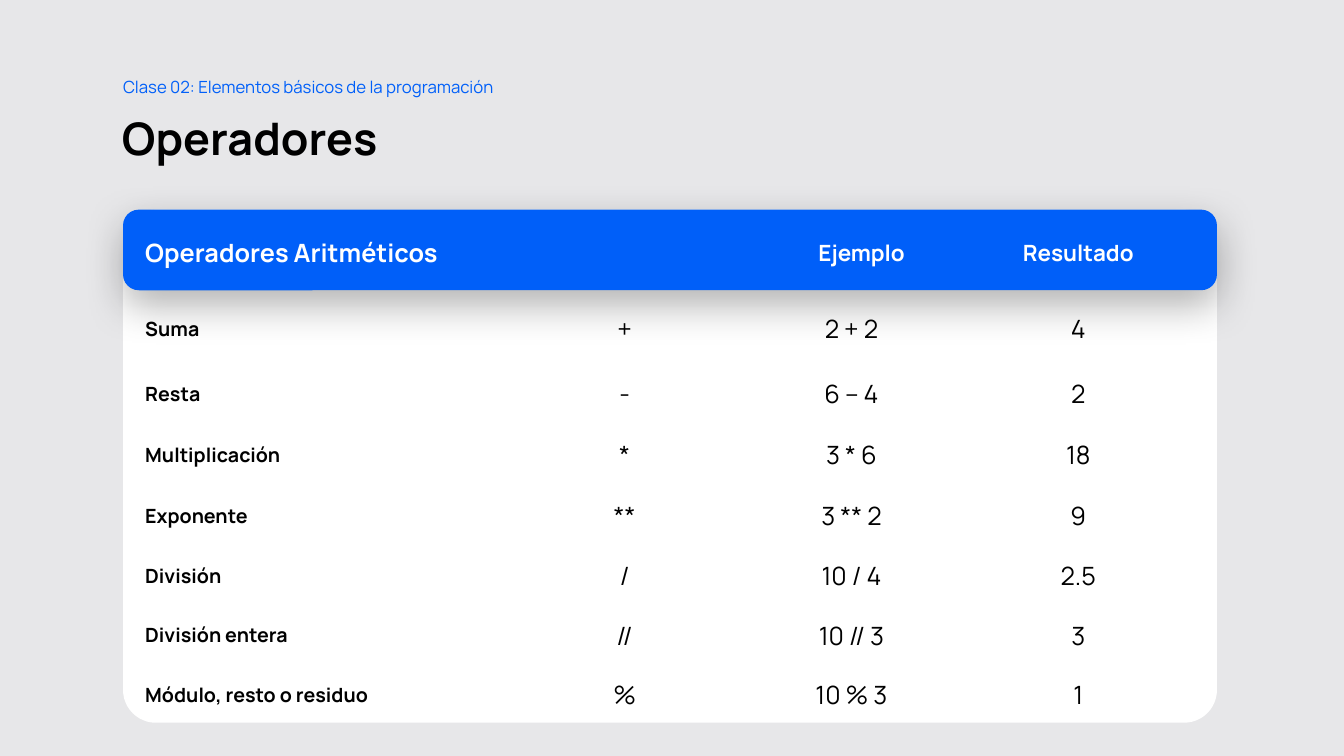
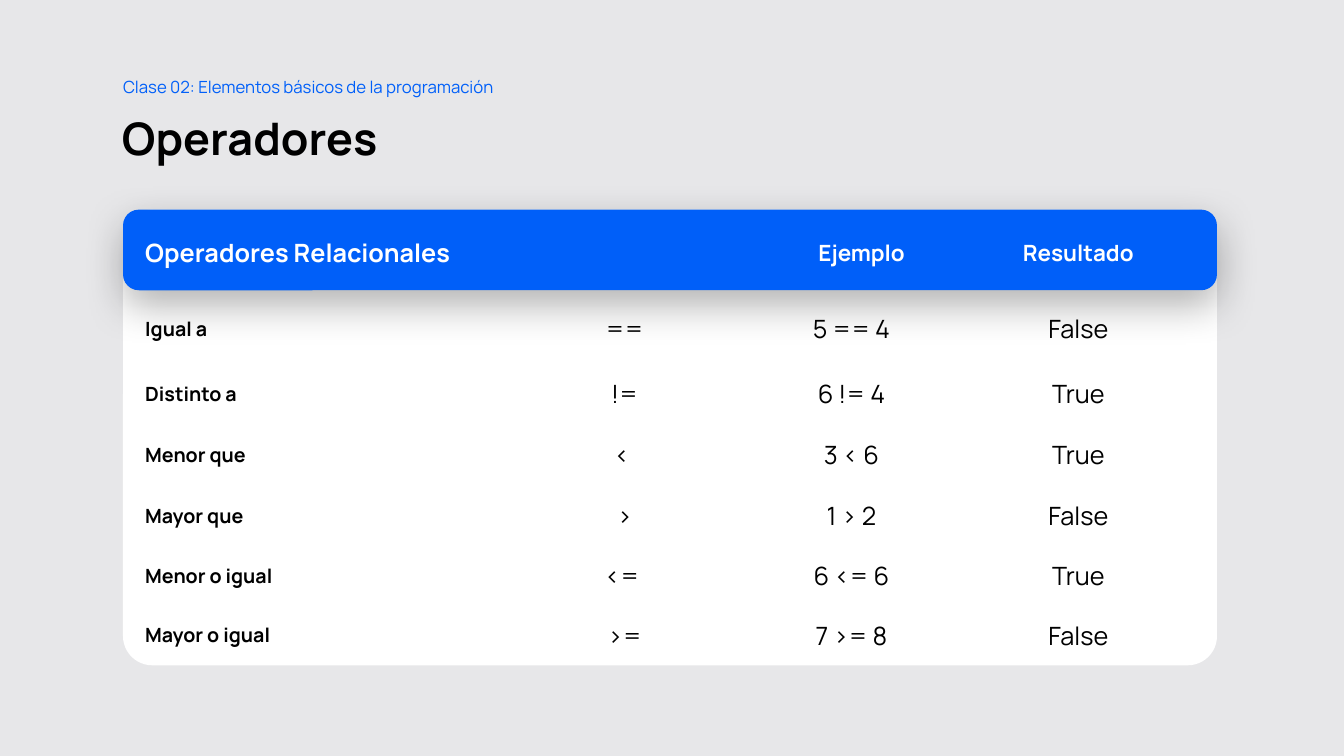
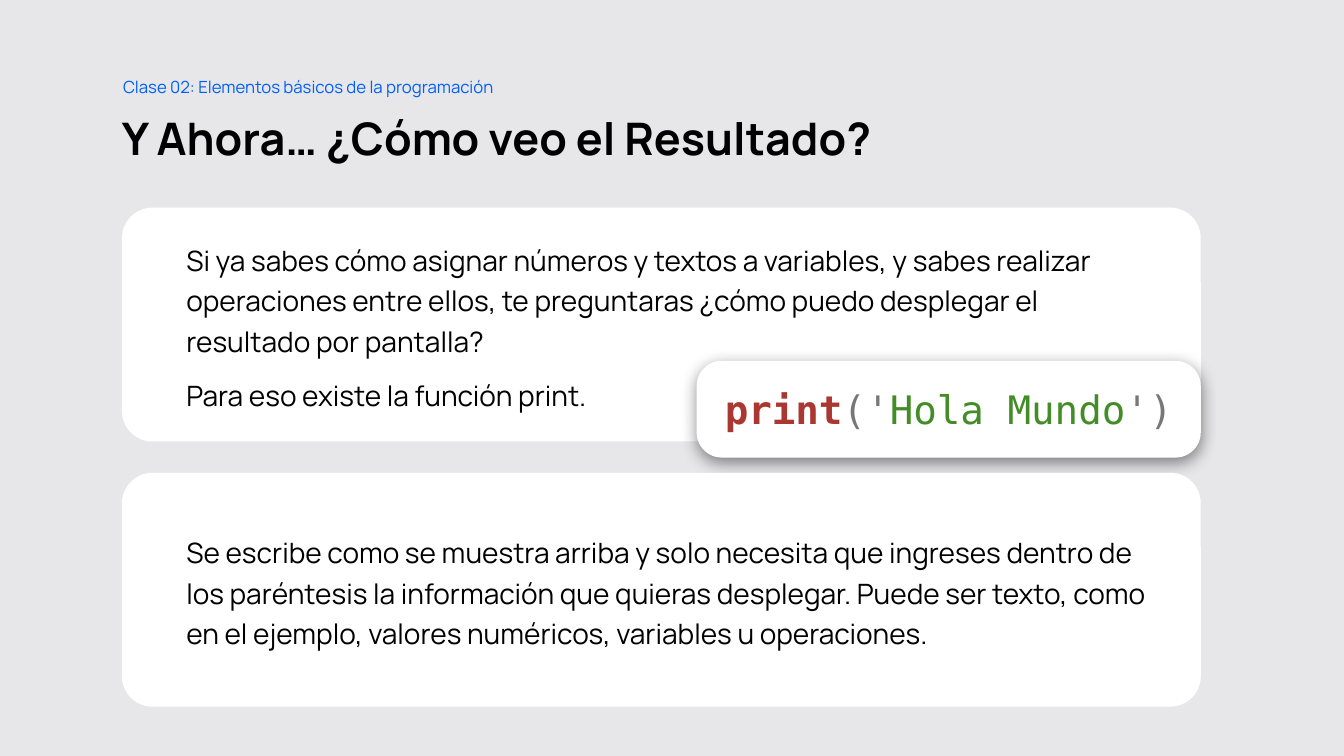
from dataclasses import dataclass

from lxml import etree
from pptx import Presentation
from pptx.dml.color import RGBColor
from pptx.enum.shapes import MSO_SHAPE
from pptx.enum.text import MSO_ANCHOR, PP_ALIGN
from pptx.oxml.ns import qn
from pptx.util import Inches, Pt

ROUND_RECT = MSO_SHAPE.ROUNDED_RECTANGLE
TOP, MIDDLE = MSO_ANCHOR.TOP, MSO_ANCHOR.MIDDLE
LEFT, CENTER = PP_ALIGN.LEFT, PP_ALIGN.CENTER
NO_GRID_STYLE = "{2D5ABB26-0587-4C30-8999-92F81FD0307C}"


@dataclass(frozen=True)
class Theme:
    """Colours, fonts and type sizes shared by the slides."""
    back: str = "E7E7E9"
    card: str = "FFFFFF"
    accent: str = "005FF9"
    ink: str = "000000"
    on_accent: str = "FFFFFF"
    code_name: str = "AA3731"
    code_mark: str = "777777"
    code_text: str = "448C27"
    font: str = "Manrope"
    mono: str = "DejaVu Sans Mono"
    title: int = 32
    code: int = 28
    body: int = 20
    value: int = 18
    column: int = 16
    label: int = 14
    kicker: int = 12


T = Theme()
KICKER = "Clase 02: Elementos básicos de la programación"
COLUMN_WIDTHS = (3.7, 2.31, 2.19, 2.21)
ROW_HEIGHTS = (0.85, 0.67, 0.62, 0.59, 0.61, 0.59, 0.59, 0.59)
HEADER_INSETS = (0, 0, 0, 0.1)
BODY_INSETS = (0, 0.2, 0.2, 0.1)

ARITHMETIC = (
    ("Suma", "+", "2 + 2", "4"),
    ("Resta", "-", "6 – 4", "2"),
    ("Multiplicación", "*", "3 * 6", "18"),
    ("Exponente", "**", "3 ** 2", "9"),
    ("División", "/", "10 / 4", "2.5"),
    ("División entera", "//", "10 // 3", "3"),
    ("Módulo, resto o residuo", "%", "10 % 3", "1"),
)
RELATIONAL = (
    ("Igual a", "==", "5 == 4", "False"),
    ("Distinto a", "!=", "6 != 4", "True"),
    ("Menor que", "< ", "3 < 6", "True"),
    ("Mayor que", ">", "1 > 2", "False"),
    ("Menor o igual", "<= ", "6 <= 6", "True"),
    ("Mayor o igual", ">=", "7 >= 8", "False"),
)
QUESTION = (
    "Si ya sabes cómo asignar números y textos a variables, y sabes realizar "
    "operaciones entre ellos, te preguntaras ¿cómo puedo desplegar el "
    "resultado por pantalla?",
    "Para eso existe la función print.",
)
ANSWER = (
    "Se escribe como se muestra arriba y solo necesita que ingreses dentro de "
    "los paréntesis la información que quieras desplegar. Puede ser texto, "
    "como en el ejemplo, valores numéricos, variables u operaciones.",
)
CODE = (
    ("print", T.code_name, True),
    ("('", T.code_mark, False),
    ("Hola Mundo", T.code_text, False),
    ("')", T.code_mark, False),
)


def add_run(p, text, size, color=T.ink, bold=False, font=T.font):
    """Append a formatted run to a paragraph."""
    r = p.add_run()
    r.text = text
    for name, value in {"name": font, "size": Pt(size), "bold": bold}.items():
        setattr(r.font, name, value)
    r.font.color.rgb = RGBColor.from_string(color)


def set_frame(target, insets, anchor=MIDDLE):
    """Set margins (left, top, right, bottom) and anchor of a frame or cell."""
    for side, inset in zip(("left", "top", "right", "bottom"), insets):
        setattr(target, f"margin_{side}", Inches(inset))
    target.vertical_anchor = anchor


def add_text(s, box, text, insets, anchor, spacing, **style):
    """Add a one-paragraph text box."""
    tf = s.shapes.add_textbox(*map(Inches, box)).text_frame
    tf.word_wrap = True
    set_frame(tf, insets, anchor)
    p = tf.paragraphs[0]
    p.line_spacing = spacing
    add_run(p, text, **style)


def add_shadow(sp, opacity, blur, distance):
    """Give a shape a soft black shadow that falls downwards."""
    effects = sp._element.spPr.find(qn("a:effectLst"))
    shadow = etree.SubElement(
        effects, qn("a:outerShdw"), blurRad=str(Pt(blur)), dist=str(Pt(distance)),
        dir="5400000", algn="t", rotWithShape="0")
    color = etree.SubElement(shadow, qn("a:srgbClr"), val=T.ink)
    etree.SubElement(color, qn("a:alpha"), val=str(opacity * 1000))


def add_panel(s, box, radius, color=T.card):
    """Add a rounded panel without outline or shadow."""
    sp = s.shapes.add_shape(ROUND_RECT, *map(Inches, box))
    sp.adjustments[0] = radius
    sp.fill.solid()
    sp.fill.fore_color.rgb = RGBColor.from_string(color)
    sp.line.fill.background()
    sp.shadow.inherit = False
    return sp


def add_base(prs, title):
    """Add a slide with the shared background, kicker and title."""
    s = prs.slides.add_slide(prs.slide_layouts[6])
    s.background.fill.solid()
    s.background.fill.fore_color.rgb = RGBColor.from_string(T.back)
    add_text(s, (1.21, 1, 10.85, 0.75), title, (0, 0.1, 0.1, 0.05), MIDDLE, 0.9,
             size=T.title, bold=True)
    add_text(s, (1.22, 0.67, 4.21, 0.34), KICKER, (0, 0.05, 0.1, 0.05), TOP, 1.2,
             size=T.kicker, color=T.accent)
    return s


def fill_cell(cell, text, align, inset, **style):
    """Write one transparent table cell."""
    cell.fill.background()
    set_frame(cell, (0, 0, inset, 0))
    p = cell.text_frame.paragraphs[0]
    p.alignment = align
    if text:
        add_run(p, text, **style)


def add_operator_table(s, left, top, heading, operators):
    """Add the table of operators, with a heading row."""
    rows = ((heading, "", "Ejemplo", "Resultado"), *operators)
    heights = ROW_HEIGHTS[:len(rows)]
    table = s.shapes.add_table(
        len(rows), len(COLUMN_WIDTHS), Inches(left), Inches(top),
        Inches(sum(COLUMN_WIDTHS)), Inches(sum(heights))).table
    table._tbl.tblPr.find(qn("a:tableStyleId")).text = NO_GRID_STYLE
    table.first_row = table.horz_banding = False
    for column, width in zip(table.columns, COLUMN_WIDTHS):
        column.width = Inches(width)
    for i, (texts, height) in enumerate(zip(rows, heights)):
        table.rows[i].height = Inches(height)
        header = i == 0
        insets = HEADER_INSETS if header else BODY_INSETS
        first, other = (T.value, T.column) if header else (T.label, T.value)
        for j, text in enumerate(texts):
            fill_cell(table.cell(i, j), text, CENTER if j else LEFT, insets[j],
                      size=other if j else first, bold=header or j == 0,
                      color=T.on_accent if header else T.ink)
    table.cell(0, 0).merge(table.cell(0, 1))


def add_operator_slide(prs, heading, operators, card_height):
    """Add a slide with a card that holds a table of operators."""
    s = add_base(prs, "Operadores")
    left, top, width = 1.22, 2.08, 10.85
    add_panel(s, (left, top, width, card_height), 0.064)
    band = add_panel(s, (left, top, width, 0.8), 0.196, T.accent)
    add_shadow(band, 29, 30, 10)
    add_operator_table(s, left + 0.22, top, heading, operators)


def add_text_card(s, box, texts):
    """Add a white card with body paragraphs."""
    tf = add_panel(s, box, 0.13).text_frame
    tf.word_wrap = True
    set_frame(tf, (0.55, 0, 0.3, 0))
    for i, text in enumerate(texts):
        p = tf.add_paragraph() if i else tf.paragraphs[0]
        p.alignment = LEFT
        p.line_spacing = 1.2
        if i:
            p.space_before = Pt(10)
        add_run(p, text, T.body)


def add_code_card(s, box):
    """Add a raised card with one line of code."""
    sp = add_panel(s, box, 0.26)
    add_shadow(sp, 46, 12, 3)
    tf = sp.text_frame
    tf.word_wrap = True
    set_frame(tf, (0, 0, 0, 0))
    p = tf.paragraphs[0]
    p.alignment = CENTER
    for text, color, bold in CODE:
        add_run(p, text, T.code, color, bold, T.mono)


def add_print_slide(prs):
    """Add the slide that explains the print function."""
    s = add_base(prs, "Y Ahora… ¿Cómo veo el Resultado?")
    left, top, width, height, gap = 1.21, 2.06, 10.7, 2.32, 0.31
    code_width = 5
    add_text_card(s, (left, top, width, height), QUESTION)
    add_code_card(s, (left + width - code_width, top + 1.52, code_width, 0.96))
    add_text_card(s, (left, top + height + gap, width, height), ANSWER)


def main():
    """Build the presentation."""
    prs = Presentation()
    prs.slide_width, prs.slide_height = Inches(13.33), Inches(7.5)
    add_operator_slide(prs, "Operadores Aritméticos", ARITHMETIC, 5.09)
    add_operator_slide(prs, "Operadores Relacionales", RELATIONAL, 4.52)
    add_print_slide(prs)
    prs.save("out.pptx")


if __name__ == "__main__":
    main()
